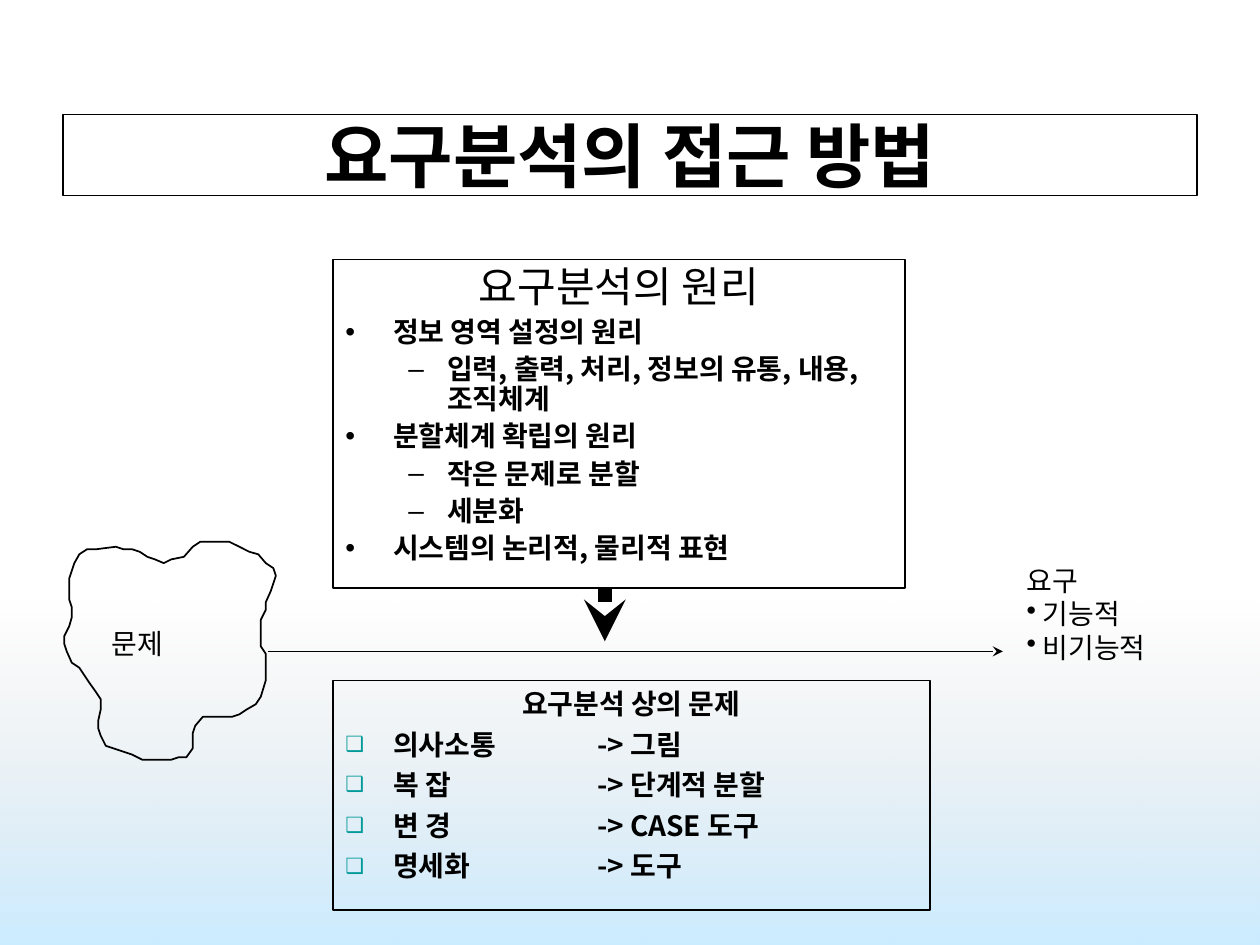
"""Build a slide on the approach to requirements analysis."""
from lxml import etree
from pptx import Presentation
from pptx import util as u
from pptx.dml.color import RGBColor
from pptx.enum import shapes, text
from pptx.oxml import ns

BLACK = RGBColor(0x00, 0x00, 0x00)
WHITE = RGBColor(0xFF, 0xFF, 0xFF)
TEAL = RGBColor(0x00, 0x99, 0x99)
GREY = RGBColor(0xDD, 0xDD, 0xDD)
SKY = RGBColor(0xCC, 0xEC, 0xFF)
KOREAN = "Noto Sans CJK KR"

HANG = (0.38, -0.38)
TOP_ITEM = dict(indent=HANG, before=4, line=0.9, bullet="•", bold=True)
SUB_ITEM = dict(TOP_ITEM, indent=(0.81, -0.31), bullet="–", level=1)
CHECK_ITEM = dict(indent=HANG, before=4, line=1, bullet="❑", bullet_color=TEAL,
                  bullet_size=75, bold=True, tabs=(1, 2))

PRINCIPLES = [
    ("요구분석의 원리", dict(indent=HANG, before=6, line=0.9, size=24, center=True)),
    ("정보 영역 설정의 원리", TOP_ITEM),
    ("입력, 출력, 처리, 정보의 유통, 내용, 조직체계", SUB_ITEM),
    ("분할체계 확립의 원리", TOP_ITEM),
    ("작은 문제로 분할", SUB_ITEM),
    ("세분화", SUB_ITEM),
    ("시스템의 논리적, 물리적 표현", TOP_ITEM),
]
PROBLEMS = [
    ("요구분석 상의 문제", dict(indent=HANG, before=4, line=1, bold=True, center=True)),
    ("의사소통 \t-> 그림", CHECK_ITEM),
    ("복 잡 \t\t-> 단계적 분할", CHECK_ITEM),
    ("변 경\t\t-> CASE 도구", CHECK_ITEM),
    ("명세화 \t-> 도구", CHECK_ITEM),
]
REQUIREMENTS = [
    ("요구", {}),
    (" 기능적", dict(bullet="•")),
    (" 비기능적", dict(bullet="•")),
]
CLOUD_HUNDREDTHS = [
    (146, 442), (136, 444), (130, 447), (123, 444), (117, 442), (111, 438),
    (105, 436), (98, 436), (92, 434), (76, 436), (69, 436), (63, 440),
    (59, 447), (57, 453), (55, 459), (55, 467), (55, 476), (57, 482),
    (57, 490), (55, 497), (51, 505), (51, 511), (53, 517), (57, 526),
    (63, 530), (67, 536), (71, 542), (76, 549), (80, 555), (80, 563),
    (78, 572), (78, 578), (80, 584), (84, 592), (105, 599), (113, 603),
    (119, 603), (136, 603), (142, 601), (148, 601), (153, 594), (153, 588),
    (153, 582), (155, 576), (161, 569), (169, 569), (178, 569), (184, 569),
    (190, 567), (196, 563), (203, 559), (207, 553), (211, 540), (211, 532),
    (211, 526), (211, 519), (207, 513), (207, 507), (207, 492), (211, 484),
    (211, 478), (215, 469), (217, 463), (219, 457), (217, 451), (211, 447),
    (205, 440), (198, 438), (190, 434), (182, 430), (173, 430), (165, 430),
    (159, 430), (153, 434),
]


def child(parent, tag, **attributes):
    """Append a DrawingML element to its parent."""
    element = etree.SubElement(parent, ns.qn(f"a:{tag}"))
    for key, value in attributes.items():
        element.set(key, str(value))
    return element


class SlideBuilder:
    """Hold the text style and the current slide."""

    def __init__(self, slide, font=KOREAN, size=16, color=BLACK):
        self.slide, self.font, self.size, self.color = slide, font, size, color

    def outline(self, shape, width=1):
        """Give a shape a plain outline."""
        shape.line.color.rgb = self.color
        shape.line.width = u.Pt(width)

    def place(self, shape, left, top, width, height):
        """Move and size a shape."""
        shape.left, shape.top = u.Inches(left), u.Inches(top)
        shape.width, shape.height = u.Inches(width), u.Inches(height)

    def paragraph(self, para, words, indent=(0, 0), before=0, line=None, size=None,
                  bold=False, center=False, bullet=None, bullet_color=BLACK,
                  bullet_size=100, level=0, tabs=(), font=None):
        """Set and format one paragraph."""
        para.text = words
        para.level = level
        para.alignment = text.PP_ALIGN.CENTER if center else text.PP_ALIGN.LEFT
        para.space_before = u.Pt(before)
        para.line_spacing = line
        props = para._p.get_or_add_pPr()
        props.set("marL", str(u.Inches(indent[0])))
        props.set("indent", str(u.Inches(indent[1])))
        if bullet:
            child(child(props, "buClr"), "srgbClr", val=bullet_color)
            child(props, "buSzPct", val=bullet_size * 1000)
            child(props, "buChar", char=bullet)
        else:
            child(props, "buNone")
        if tabs:
            stops = child(props, "tabLst")
            for stop in tabs:
                child(stops, "tab", pos=u.Inches(stop), algn="l")
        for run in para.runs:
            run.font.name = font or self.font
            run.font.size = u.Pt(size or self.size)
            run.font.bold = bold
            run.font.color.rgb = self.color
            child(run._r.get_or_add_rPr(), "ea", typeface=self.font)

    def fill_text(self, frame, paragraphs, wrap=True):
        """Fill a text frame from pairs of words and format."""
        frame.word_wrap = wrap
        frame.auto_size = text.MSO_AUTO_SIZE.NONE
        frame.text = "\n".join(words for words, _ in paragraphs)
        for para, (words, look) in zip(frame.paragraphs, paragraphs):
            self.paragraph(para, words, **look)

    def title(self, words, *box):
        """Set the framed title."""
        heading = self.slide.shapes.title
        self.place(heading, *box)
        heading.fill.solid()
        heading.fill.fore_color.rgb = WHITE
        self.outline(heading, 0.75)
        self.fill_text(heading.text_frame,
                       [(words, dict(size=40, bold=True, center=True))])
        heading.text_frame.vertical_anchor = text.MSO_ANCHOR.MIDDLE

    def framed_list(self, index, paragraphs, *box):
        """Fill a body placeholder with a framed list."""
        body = self.slide.placeholders[index]
        self.place(body, *box)
        self.outline(body)
        self.fill_text(body.text_frame, paragraphs)

    def label(self, paragraphs, *box, wrap=True):
        """Add free text."""
        area = self.slide.shapes.add_textbox(*map(u.Inches, box))
        self.fill_text(area.text_frame, paragraphs, wrap)

    def arrow(self, start, end, width):
        """Add a straight line with a stealth head."""
        arrow = self.slide.shapes.add_connector(
            shapes.MSO_CONNECTOR.STRAIGHT, *map(u.Inches, start + end))
        self.outline(arrow, width)
        child(arrow._element.spPr.find(ns.qn("a:ln")), "tailEnd", type="stealth")
        child(arrow._element.spPr, "effectLst")

    def outline_figure(self, points):
        """Add a closed outline given in hundredths of an inch."""
        builder = self.slide.shapes.build_freeform(*points[0], scale=u.Inches(0.01))
        builder.add_line_segments(points[1:], close=True)
        figure = builder.convert_to_shape()
        figure.shadow.inherit = False
        figure.fill.background()
        self.outline(figure)

    def backdrop(self, *box):
        """Add a band behind everything that fades in downwards."""
        band = self.slide.shapes.add_shape(
            shapes.MSO_SHAPE.RECTANGLE, *map(u.Inches, box))
        band.shadow.inherit = False
        band.line.fill.background()
        band.fill.gradient()
        band.fill.gradient_angle = 270
        for stop, shade in zip(band.fill.gradient_stops, (GREY, SKY)):
            stop.color.rgb = shade
        clear = next(band._element.spPr.iter(ns.qn("a:srgbClr")))
        child(clear, "alpha", val=0)
        self.slide.shapes._spTree.insert(2, band._element)


def main():
    """Build and save the slide."""
    deck = Presentation()
    deck.slide_width, deck.slide_height = u.Inches(10), u.Inches(7.5)
    page = SlideBuilder(deck.slides.add_slide(deck.slide_layouts[3]))
    page.backdrop(0, 4.77, 10, 2.73)
    page.title("요구분석의 접근 방법", 0.5, 0.91, 9, 0.64)
    page.framed_list(1, PRINCIPLES, 2.64, 2.06, 4.54, 2.61)
    page.outline_figure(CLOUD_HUNDREDTHS)
    page.framed_list(2, PROBLEMS, 2.64, 5.4, 4.74, 1.82)
    page.label(REQUIREMENTS, 8.05, 4.42, 1.33, 0.9)
    page.arrow((2.13, 5.17), (7.96, 5.17), 1)
    page.arrow((4.8, 4.67), (4.8, 5.09), 8)
    page.label([("문제", dict(font="Arial"))], 0.79, 4.92, 0.63, 0.37, wrap=False)
    deck.save("out.pptx")


if __name__ == "__main__":
    main()
